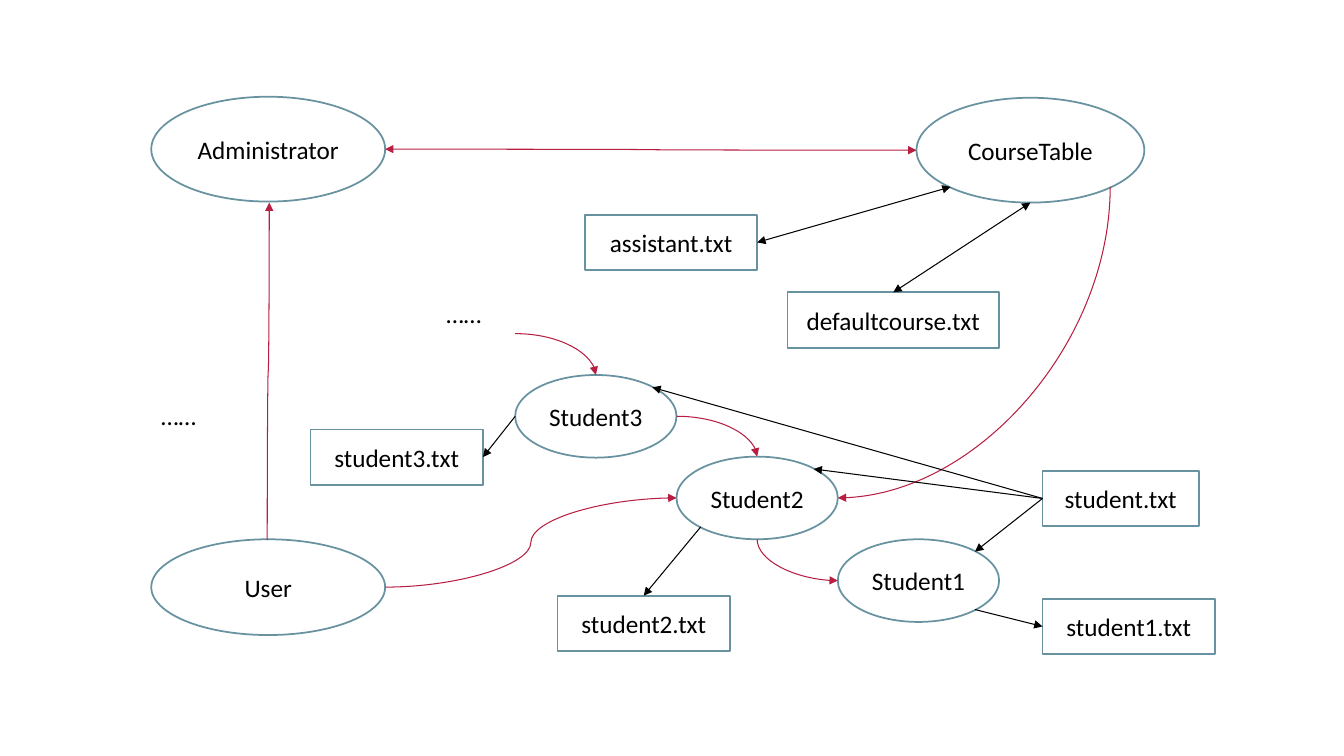
from lxml import etree
from pptx import Presentation
from pptx.dml.color import RGBColor
from pptx.enum.shapes import MSO_CONNECTOR, MSO_SHAPE
from pptx.enum.text import MSO_ANCHOR, MSO_AUTO_SIZE, PP_ALIGN
from pptx.oxml.ns import qn
from pptx.util import Emu, Pt

OVAL, RECTANGLE = MSO_SHAPE.OVAL, MSO_SHAPE.RECTANGLE
STRAIGHT, CURVE = MSO_CONNECTOR.STRAIGHT, MSO_CONNECTOR.CURVE
MIDDLE, CENTER, LEFT = MSO_ANCHOR.MIDDLE, PP_ALIGN.CENTER, PP_ALIGN.LEFT
GROW = MSO_AUTO_SIZE.SHAPE_TO_FIT_TEXT

PX = 9144
QUARTER_TURN = "5400000"
COLORS = {"paper": "FFFFFF", "outline": "6892A0", "flow": "B71E42", "ink": "000000"}
FONT = {"name": "Calibri", "size": Pt(18)}
SITES = {
    "top": (0.5, 0), "left": (0, 0.5), "bottom": (0.5, 1), "right": (1, 0.5),
    "top right": (0.85, 0.15), "bottom left": (0.15, 0.85), "bottom right": (0.85, 0.85),
}
SIDES = ["top", "left", "bottom", "right"]

CLASSES = {
    "CourseTable": (909, 97, 226, 104),
    "Administrator": (150, 96, 232, 104),
    "User": (150, 535, 232, 95),
    "Student3": (511, 372, 160, 82),
    "Student2": (671, 453, 160, 82),
    "Student1": (831, 535, 160, 82),
}
FILES = {
    "defaultcourse.txt": (781, 290, 210, 55),
    "assistant.txt": (580, 213, 171, 55),
    "student.txt": (1034, 467, 155, 55),
    "student1.txt": (1034, 594, 171, 55),
    "student2.txt": (553, 591, 171, 55),
    "student3.txt": (308, 426, 171, 55),
}
ELLIPSES = [(433, 291, 77, 40), (150, 392, 77, 40)]

FLOWS = [
    (("CourseTable", "bottom right"), ("Student2", "right"), {"bend": 2, "vertical": True}),
    (("Administrator", "right"), ("CourseTable", "left"), {"both": True}),
    ((265, 536), (267, 201), {"vertical": True}),
    (("User", "right"), ("Student2", "left"), {}),
    (("Student2", "bottom"), ("Student1", "left"), {"bend": 2, "vertical": True}),
    (("Student3", "right"), ("Student2", "top"), {"bend": 2}),
    ((511, 331), ("Student3", "top"), {"bend": 2}),
]
FILE_LINKS = [
    (("student.txt", "left"), ("Student1", "top right"), False),
    (("student.txt", "left"), ("Student2", "top right"), False),
    (("student.txt", "left"), ("Student3", "top right"), False),
    (("Student1", "bottom right"), ("student1.txt", "left"), False),
    (("Student2", "bottom left"), ("student2.txt", "top"), False),
    (("Student3", "left"), ("student3.txt", "right"), False),
    (("CourseTable", "bottom"), ("defaultcourse.txt", "top"), True),
    (("CourseTable", "bottom left"), ("assistant.txt", "right"), True),
]


class Diagram:
    """Draws nodes, notes and arrows on one slide in a shared style."""

    def __init__(self, slide):
        self.slide = slide
        self.nodes = {}

    def color(self, name):
        return RGBColor.from_string(COLORS[name])

    def label(self, shape, text, alignment):
        paragraph = shape.text_frame.paragraphs[0]
        paragraph.alignment = alignment
        run = paragraph.add_run()
        run.text = text
        for name, value in FONT.items():
            setattr(run.font, name, value)
        run.font.color.rgb = self.color("ink")

    def node(self, kind, text, box):
        shape = self.slide.shapes.add_shape(kind, *[Emu(value * PX) for value in box])
        shape.shadow.inherit = False
        shape.fill.solid()
        shape.fill.fore_color.rgb = self.color("paper")
        shape.line.color.rgb = self.color("outline")
        shape.line.width = Pt(1.25)
        shape.text_frame.vertical_anchor = MIDDLE
        shape.text_frame.word_wrap = True
        self.label(shape, text, CENTER)
        self.nodes[text] = shape

    def note(self, text, box):
        shape = self.slide.shapes.add_textbox(*[Emu(value * PX) for value in box])
        shape.text_frame.word_wrap = True
        shape.text_frame.auto_size = GROW
        self.label(shape, text, LEFT)

    def point(self, place):
        if place[0] not in self.nodes:
            return place[0] * PX, place[1] * PX
        shape = self.nodes[place[0]]
        across, down = SITES[place[1]]
        return shape.left + across * shape.width, shape.top + down * shape.height

    def connector(self, kind, start, end, color, both):
        ends = [Emu(round(value)) for value in (*start, *end)]
        connector = self.slide.shapes.add_connector(kind, *ends)
        connector.line.color.rgb = self.color(color)
        connector.line.width = Pt(0.75)
        line = connector.line._get_or_add_ln()
        for tag in ["a:headEnd", "a:tailEnd"] if both else ["a:tailEnd"]:
            etree.SubElement(line, qn(tag), type="triangle")
        etree.SubElement(connector._element.spPr, qn("a:effectLst"))
        return connector

    def straight(self, start, end, both):
        connector = self.connector(STRAIGHT, self.point(start), self.point(end), "ink", both)
        for place, join in [(start, connector.begin_connect), (end, connector.end_connect)]:
            if place[0] in FILES:
                join(self.nodes[place[0]], SIDES.index(place[1]))

    def curve(self, start, end, bend=3, vertical=False, both=False):
        (x1, y1), (x2, y2) = self.point(start), self.point(end)
        if vertical:
            middle_x, middle_y = (x1 + x2) / 2, (y1 + y2) / 2
            half_x, half_y = (x2 - x1) / 2, (y2 - y1) / 2
            x1, y1 = middle_x - half_y, middle_y + half_x
            x2, y2 = middle_x + half_y, middle_y - half_x
        connector = self.connector(CURVE, (x1, y1), (x2, y2), "flow", both)
        properties = connector._element.spPr
        properties.find(qn("a:prstGeom")).set("prst", f"curvedConnector{bend}")
        if vertical:
            properties.find(qn("a:xfrm")).set("rot", QUARTER_TURN)


def main():
    presentation = Presentation()
    presentation.slide_width, presentation.slide_height = Emu(1333 * PX), Emu(750 * PX)
    diagram = Diagram(presentation.slides.add_slide(presentation.slide_layouts[6]))
    for kind, group in [(OVAL, CLASSES), (RECTANGLE, FILES)]:
        for text, box in group.items():
            diagram.node(kind, text, box)
    for box in ELLIPSES:
        diagram.note("……", box)
    for start, end, style in FLOWS:
        diagram.curve(start, end, **style)
    for start, end, both in FILE_LINKS:
        diagram.straight(start, end, both)
    presentation.save("out.pptx")


if __name__ == "__main__":
    main()
